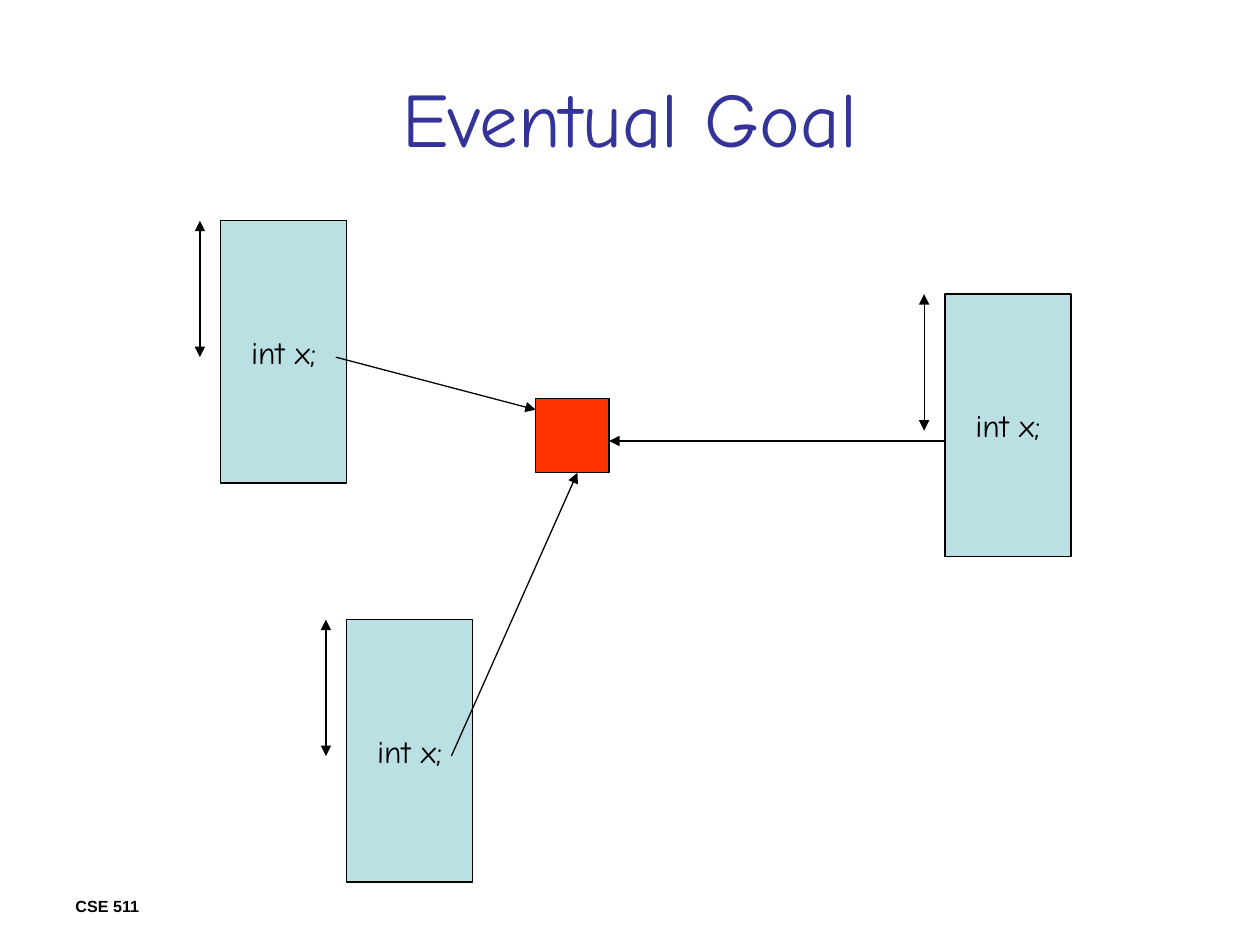
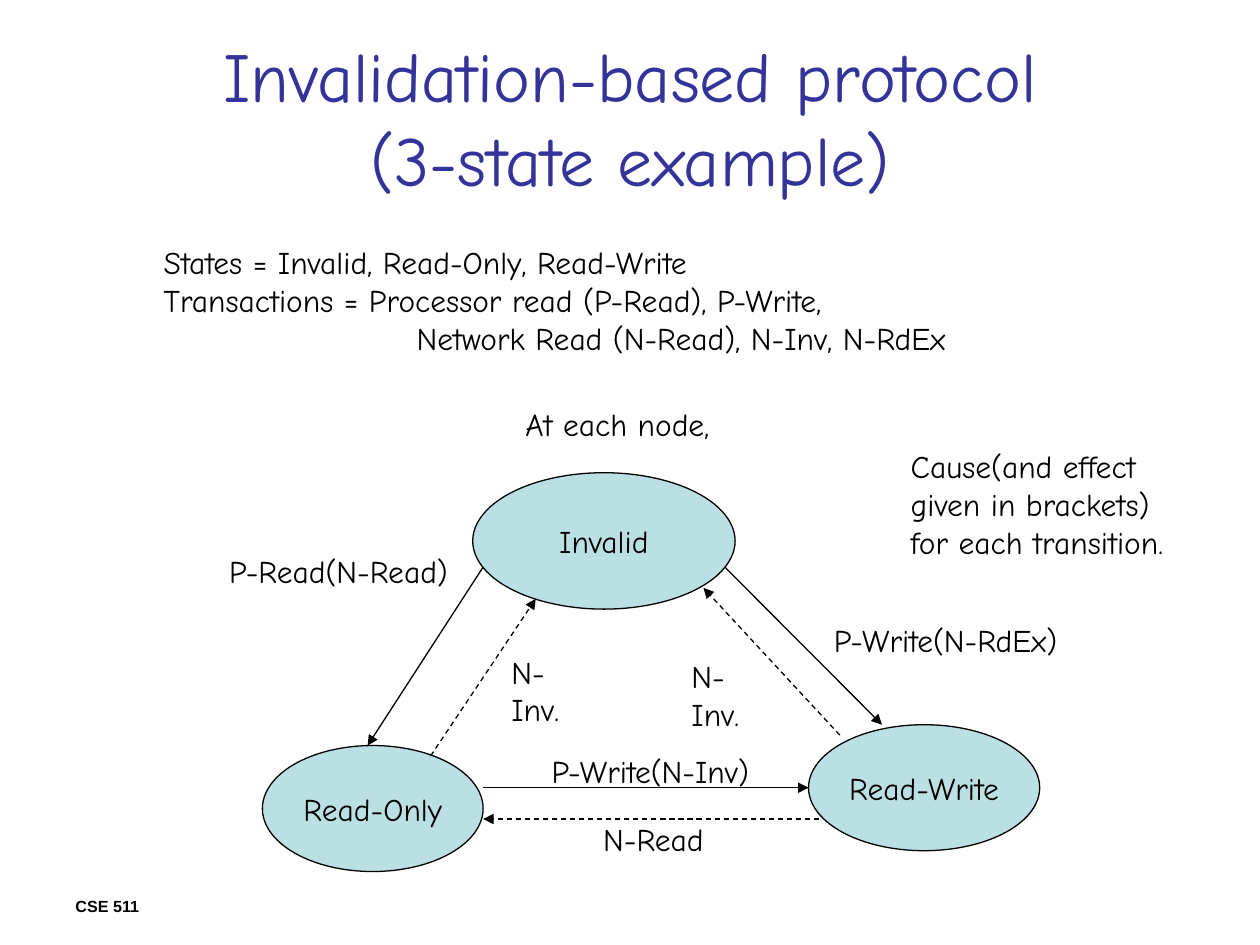
from lxml import etree
from pptx import Presentation
from pptx.dml.color import RGBColor
from pptx.enum import dml, shapes, text
from pptx.oxml.ns import qn
from pptx.util import Cm, Pt

HUES = {"title": "333399", "ink": "000000", "node": "BBE0E3", "data": "FF3300"}
FACE = "Comic Neue"
FORM = shapes.MSO_SHAPE
MID = text.PP_ALIGN.CENTER
LEFT = text.PP_ALIGN.LEFT


def put(page, box, words="", form=None, fill="node", size=18, hue="ink",
        face=FACE, bold=False, align=LEFT, wrap=False):
    """Add a text box, or a filled shape with centred text when a form is given."""
    area = [Cm(n) for n in box]
    if form is None:
        item = page.shapes.add_textbox(*area)
    else:
        item = page.shapes.add_shape(form, *area)
        item.shadow.inherit = False
        item.fill.solid()
        item.fill.fore_color.rgb = RGBColor.from_string(HUES[fill])
        item.line.color.rgb = RGBColor.from_string(HUES["ink"])
        item.line.width = Pt(0.75)
        align = MID
    frame = item.text_frame
    frame.word_wrap = wrap
    frame.vertical_anchor = (text.MSO_ANCHOR.MIDDLE if align == MID
                             else text.MSO_ANCHOR.TOP)
    frame.text = words
    for para in frame.paragraphs:
        para.alignment = align
        para.font.name = face
        para.font.size = Pt(size)
        para.font.bold = bold
        para.font.color.rgb = RGBColor.from_string(HUES[hue])
    return item


def link(page, ends, dash=False, both=False):
    """Draw an arrow from the first point to the second."""
    line = page.shapes.add_connector(shapes.MSO_CONNECTOR.STRAIGHT,
                                     *[Cm(n) for n in ends])
    line.line.color.rgb = RGBColor.from_string(HUES["ink"])
    line.line.width = Pt(0.75)
    if dash:
        line.line.dash_style = dml.MSO_LINE.DASH
    stroke = line.line._get_or_add_ln()
    for tip in ("a:headEnd", "a:tailEnd") if both else ("a:tailEnd",):
        etree.SubElement(stroke, qn(tip), type="triangle")
    etree.SubElement(line._element.spPr, qn("a:effectLst"))


deck = Presentation()
deck.slide_width, deck.slide_height = Cm(25.4), Cm(19.05)

# Footer and title on each slide
pages = []
for head, size in (("Eventual Goal", 44),
                   ("Invalidation-based protocol\v(3-state example)", 40)):
    page = deck.slides.add_slide(deck.slide_layouts[6])
    foot = put(page, (1.27, 17.99, 5.93, 0.64), "CSE 511", size=9.2,
               face="Arial", bold=True, wrap=True)
    foot.text_frame.paragraphs[0].line_spacing = 0.9
    put(page, (1.27, 0.76, 22.86, 3.18), head, size=size, hue="title",
        align=MID, wrap=True)
    pages.append(page)
goal, states = pages

# Goal: three address spaces, each with its offset arrow
for x, y in ((4.45, 4.45), (19.05, 5.93), (6.99, 12.49)):
    put(goal, (x, y, 2.54, 5.29), "int x;", FORM.RECTANGLE)
    link(goal, (x - 0.42, y, x - 0.42, y + 2.75), both=True)

# Goal: the shared datum and the arrows to it
put(goal, (10.8, 8.04, 1.48, 1.48), form=FORM.RECTANGLE, fill="data")
for ends in ((9.1, 15.24, 11.64, 9.53),
             (6.77, 7.2, 10.8, 8.26),
             (19.05, 8.89, 12.28, 8.89)):
    link(goal, ends)

# Protocol: states
for name, box in (("Invalid", (9.53, 9.53, 5.29, 2.75)),
                  ("Read-Write", (16.3, 14.61, 4.66, 2.54)),
                  ("Read-Only", (5.29, 15.03, 4.45, 2.54))):
    put(states, box, name, FORM.OVAL)

# Protocol: transitions as label, label place (left, top, width), arrow, dash
for name, (x, y, wide), ends, dash in (
        ("P-Read(N-Read)", (4.37, 11, 4.95), (9.74, 11.43, 7.41, 15.03), False),
        ("N-Inv.", (10.06, 13.03, 2.13), (8.68, 15.24, 10.8, 12.07), True),
        ("P-Write(N-Inv)", (10.87, 15.03, 4.55), (9.74, 15.88, 16.3, 15.88), False),
        ("N-Read", (11.91, 16.41, 2.54), (16.51, 16.51, 9.74, 16.51), True),
        ("N-Inv.", (13.69, 13.13, 2.13), (16.93, 14.82, 14.18, 11.85), True),
        ("P-Write(N-RdEx)", (16.56, 12.4, 5.08), (14.61, 11.43, 17.78, 14.61), False)):
    link(states, ends, dash)
    put(states, (x, y, wide, 1.02), name)

# Protocol: notes
terms = put(states, (3.05, 4.78, 16.6, 2.54),
            "States = Invalid, Read-Only, Read-Write\n"
            "Transactions = Processor read (P-Read), P-Write,\n"
            "Network Read (N-Read), N-Inv, N-RdEx", wrap=True)
terms.text_frame.paragraphs[2]._p.get_or_add_pPr().set("marL", str(Cm(5.1)))
put(states, (10.34, 8.05, 4.22, 1.02), "At each node,")
put(states, (18.11, 8.89, 5.61, 2.54),
    "Cause(and effect\ngiven in brackets)\nfor each transition.")

deck.save("out.pptx")
